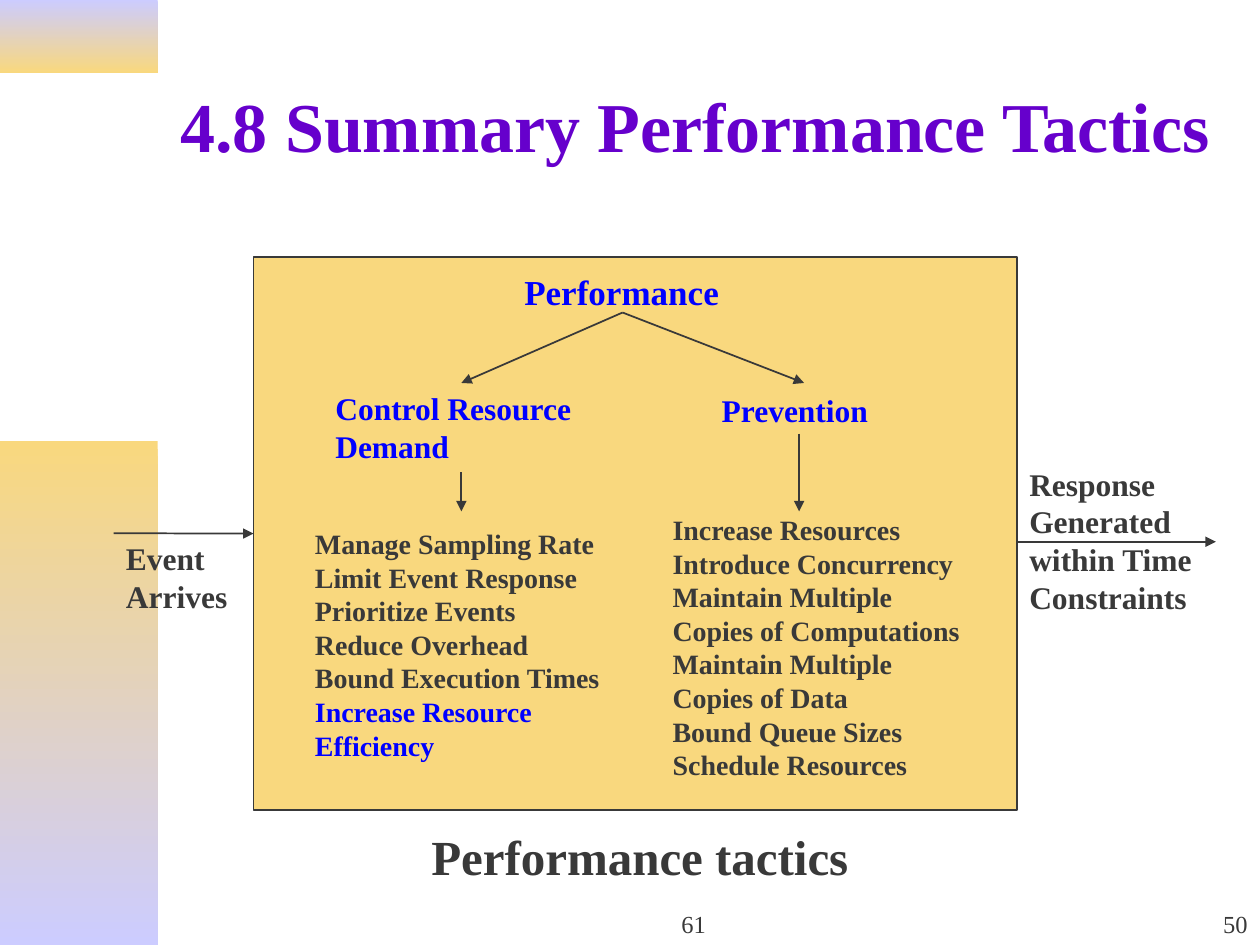
from lxml.etree import SubElement
from pptx import Presentation
from pptx.dml.color import RGBColor
from pptx.enum.shapes import MSO_CONNECTOR as Connector, MSO_SHAPE as Shape
from pptx.enum.text import MSO_ANCHOR as Anchor, MSO_AUTO_SIZE as AutoSize, PP_ALIGN as Align
from pptx.oxml.ns import qn
from pptx.util import Cm, Pt

FONT = "Times New Roman"
INK, BLUE, PURPLE = "393939", "0000FF", "6600CC"
GOLD, LILAC = "F9D87E", "CCCCFF"
PAGE_WIDTH, PAGE_HEIGHT = 25.4, 19.05

DEMAND_TACTICS = ["Manage Sampling Rate", "Limit Event Response", "Prioritize Events",
                  "Reduce Overhead", "Bound Execution Times", "Increase Resource Efficiency"]
PREVENTION_TACTICS = ["Increase Resources", "Introduce Concurrency",
                      "Maintain Multiple Copies of Computations",
                      "Maintain Multiple Copies of Data", "Bound Queue Sizes",
                      "Schedule Resources"]


def rgb(color):
    return RGBColor.from_string(color)


def format_para(para, size, color, bold, align):
    para.alignment = align
    for span in para.runs:
        span.font.name = FONT
        span.font.size = Pt(size)
        span.font.bold = bold
        span.font.color.rgb = rgb(color)


def add_text(page, box, lines, size, color=INK, bold=True, align=Align.LEFT, anchor=Anchor.TOP):
    frame = page.shapes.add_textbox(*map(Cm, box)).text_frame
    frame.word_wrap = True
    frame.vertical_anchor = anchor
    frame.text = "\n".join(lines)
    for para in frame.paragraphs:
        format_para(para, size, color, bold, align)
    return frame


def add_rect(page, box):
    rect = page.shapes.add_shape(Shape.RECTANGLE, *map(Cm, box))
    rect.shadow.inherit = False
    return rect


def add_arrow(page, start, end):
    arrow = page.shapes.add_connector(Connector.STRAIGHT, *map(Cm, start + end))
    arrow.line.color.rgb = rgb(INK)
    arrow.line.width = Pt(1)
    SubElement(arrow.line._get_or_add_ln(), qn("a:tailEnd"), type="triangle")
    SubElement(arrow._element.spPr, qn("a:effectLst"))
    return arrow


def add_side_bands(page, left, width):
    bands = [(0, 1.47, LILAC, GOLD), (8.89, 10.16, GOLD, LILAC)]
    for top, height, first, last in bands:
        band = add_rect(page, (left, top, width, height))
        band.line.fill.background()
        band.fill.gradient()
        band.fill.gradient_angle = 270
        for stop, color, position in zip(band.fill.gradient_stops, (first, last), (0, 1)):
            stop.color.rgb = rgb(color)
            stop.position = position


def set_title(page, box, text):
    title = page.shapes.title
    title.left, title.top, title.width, title.height = map(Cm, box)
    frame = title.text_frame
    frame.text = text
    frame.word_wrap = True
    frame.auto_size = AutoSize.NONE
    frame.vertical_anchor = Anchor.MIDDLE
    format_para(frame.paragraphs[0], 40, PURPLE, True, Align.LEFT)


def add_tactics_panel(page, box):
    left, top = box[:2]

    def at(x, y, *size):
        return (left + x, top + y, *size)

    panel = add_rect(page, box)
    panel.fill.solid()
    panel.fill.fore_color.rgb = rgb(GOLD)
    panel.line.color.rgb = rgb(INK)
    panel.line.width = Pt(1)

    # Headings
    add_text(page, at(5.21, 0.15, 4.78, 1.12), ["Performance"], 20, BLUE)
    add_text(page, at(1.4, 2.54, 5.59, 1.78), ["Control Resource Demand"], 18, BLUE)
    add_text(page, at(9.19, 2.57, 3.81, 1.02), ["Prevention"], 18, BLUE)

    # Tactic lists; the last demand tactic is highlighted
    demand = add_text(page, at(0.99, 5.31, 6.4, 5), DEMAND_TACTICS, 16)
    format_para(demand.paragraphs[-1], 16, BLUE, True, Align.LEFT)
    add_text(page, at(8.2, 5.03, 6.43, 5.69), PREVENTION_TACTICS, 16)

    # Branches from the root, then arrows down to the lists
    for start, end in [((7.44, 1.12), (4.19, 2.54)), ((7.44, 1.12), (11.1, 2.54)),
                       ((4.19, 4.34), (4.19, 5.13)), ((11, 3.56), (11, 5.13))]:
        add_arrow(page, at(*start), at(*end))
    return panel


def add_event(page, box, panel):
    left, top, width, height = box
    arrow = add_arrow(page, (left, top), (left + width, top))
    arrow.end_connect(panel, 1)
    add_text(page, (left, top, 2.59, height), ["Event Arrives"], 18)


def add_response(page, box):
    left, top, width, height = box
    line_y = top + 1.68
    add_arrow(page, (left, line_y), (left + width, line_y))
    add_text(page, (left, top, 4.19, height),
             ["Response Generated within Time Constraints"], 18)


def add_footer(page, top, height):
    for left, width, number, align in [(9.96, 8.05, "61", Align.CENTER),
                                       (20.12, 5.28, "50", Align.RIGHT)]:
        add_text(page, (left, top, width, height), [number], 14,
                 bold=False, align=align, anchor=Anchor.BOTTOM)


def main():
    deck = Presentation()
    deck.slide_width, deck.slide_height = Cm(PAGE_WIDTH), Cm(PAGE_HEIGHT)
    page = deck.slides.add_slide(deck.slide_layouts[5])

    add_side_bands(page, 0, 3.18)
    set_title(page, (3.38, 0.84, 21.59, 3.35), "4.8 Summary Performance Tactics")
    panel = add_tactics_panel(page, (5.11, 5.18, 15.39, 11.15))
    add_event(page, (2.29, 10.75, 2.82, 1.78), panel)
    add_response(page, (20.5, 9.24, 4.01, 3.3))
    add_text(page, (3.5, 16.54, 18.8, 1.45), ["Performance tactics"], 28, align=Align.CENTER)
    add_footer(page, 17.78, 1.27)

    deck.save("out.pptx")


if __name__ == "__main__":
    main()
